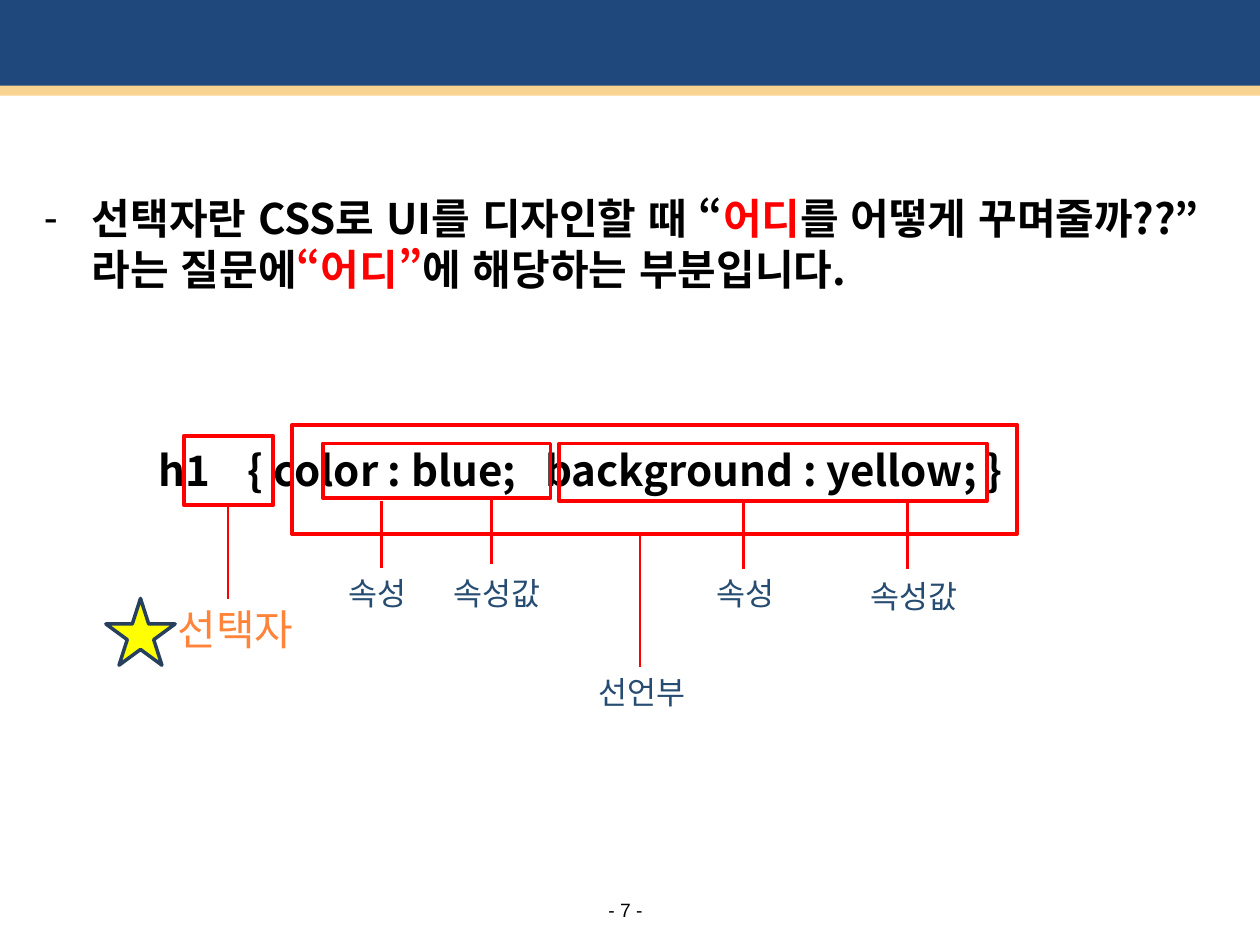
import pptx
import pptx.util
import pptx.dml.color
import pptx.enum.lang
import pptx.enum.shapes
import pptx.enum.text
import pptx.oxml.ns
from lxml import etree

Inches, Pt = pptx.util.Inches, pptx.util.Pt
RGBColor = pptx.dml.color.RGBColor
SHAPE = pptx.enum.shapes.MSO_SHAPE
qn = pptx.oxml.ns.qn

NAVY = RGBColor(0x1F, 0x49, 0x7D)
SAND = RGBColor(0xF9, 0xD4, 0x90)
RED = RGBColor(0xFF, 0, 0)
BLACK = RGBColor(0, 0, 0)
ORANGE = RGBColor(0xFF, 0x84, 0x3A)
LABEL_BLUE = RGBColor(0x26, 0x4C, 0x72)
YELLOW = RGBColor(0xFF, 0xFF, 0)
STAR_EDGE = RGBColor(0x27, 0x40, 0x5E)
KOREAN, LATIN = "Noto Sans CJK KR", "Arial"

# Content
DEFINITION = [
    ("선택자란 CSS로 UI를 디자인할 때 “", BLACK), ("어디", RED),
    ("를 어떻게 꾸며줄까??” 라는 질문에", BLACK), ("“어디”", RED),
    ("에 해당하는 부분입니다.", BLACK),
]
CODE = "h1\t{ color : blue;\tbackground : yellow; }"
CODE_TABS = [0.71, 3.07]
BARS = [((0, -0.03, 10, 0.76), NAVY), ((0, 0.68, 10, 0.08), SAND)]
FRAMES = [  # selector, declaration block, first and second declaration
    (1.46, 3.46, 0.71, 0.55), (2.32, 3.37, 5.75, 0.87),
    (2.56, 3.52, 1.81, 0.43), (4.44, 3.52, 3.39, 0.46),
]
LEADERS = [  # x, top, bottom
    (1.81, 4.01, 4.75), (3.03, 3.98, 4.51), (3.9, 3.96, 4.48),
    (5.9, 3.99, 4.52), (7.2, 3.99, 4.52), (5.08, 4.23, 5.29),
]
LABELS = [  # text, left, top
    ("속성", 2.67, 4.51), ("속성값", 3.5, 4.51), ("속성", 5.59, 4.51),
    ("속성값", 6.81, 4.53), ("선언부", 4.65, 5.29),
]

prs = pptx.Presentation()
prs.slide_width, prs.slide_height = Inches(10), Inches(7.5)
s = prs.slides.add_slide(prs.slide_layouts[6])


def add_shape(kind, box, fill=None, line=None, width=2.25):
    sp = s.shapes.add_shape(kind, *map(Inches, box))
    sp.shadow.inherit = False
    for part, color in ((sp.fill, fill), (sp.line.fill, line)):
        if color is None:
            part.background()
        else:
            part.solid()
            part.fore_color.rgb = color
    if line is not None:
        sp.line.width = Pt(width)


def add_text(box, runs, font, size, bold=False):
    tf = s.shapes.add_textbox(*map(Inches, box)).text_frame
    tf.word_wrap = True
    p = tf.paragraphs[0]
    style = dict(name=font, size=Pt(size), bold=bold,
                 language_id=pptx.enum.lang.MSO_LANGUAGE_ID.KOREAN)
    for text, color in runs:
        r = p.add_run()
        r.text = text
        for name, value in style.items():
            setattr(r.font, name, value)
        r.font.color.rgb = color
        etree.SubElement(r.font._element, qn("a:ea")).set("typeface", KOREAN)
    return p


# Header bars
for box, color in BARS:
    add_shape(SHAPE.RECTANGLE, box, color)

# Definition with a hanging dash
p = add_text((0.25, 1.48, 9.55, 0.95), DEFINITION, KOREAN, 24, True)
pPr = p._p.get_or_add_pPr()
pPr.set("marL", str(Inches(0.38)))
pPr.set("indent", str(-Inches(0.38)))
etree.SubElement(pPr, qn("a:buFont")).set("typeface", LATIN)
etree.SubElement(pPr, qn("a:buChar")).set("char", "-")

# Code line, spaced by tab stops
p = add_text((1.16, 3.48, 7.5, 0.5), [(CODE, BLACK)], KOREAN, 24, True)
tabs = etree.SubElement(p._p.get_or_add_pPr(), qn("a:tabLst"))
for pos in CODE_TABS:
    etree.SubElement(tabs, qn("a:tab"), pos=str(Inches(pos)), algn="l")

# Frames, leader lines and labels
for box in FRAMES:
    add_shape(SHAPE.RECTANGLE, box, line=RED)
for x, top, bottom in LEADERS:
    line = s.shapes.add_connector(pptx.enum.shapes.MSO_CONNECTOR.STRAIGHT,
                                  *map(Inches, (x, top, x, bottom)))
    line.line.color.rgb = RED
    line.line.width = Pt(1.5)
    etree.SubElement(line._element.spPr, qn("a:effectLst"))
for text, left, top in LABELS:
    add_text((left, top, 1.09, 0.4), [(text, LABEL_BLUE)], LATIN, 18)
add_text((1.31, 4.74, 1.36, 0.49), [("선택자", ORANGE)], KOREAN, 24)
add_shape(SHAPE.STAR_5_POINT, (0.84, 4.75, 0.55, 0.53), YELLOW, STAR_EDGE, 2)

# Page number
p = add_text((4.55, 7.08, 0.83, 0.29), [("- 7 -", BLACK)], LATIN, 11)
p.alignment = pptx.enum.text.PP_ALIGN.CENTER

prs.save("out.pptx")
